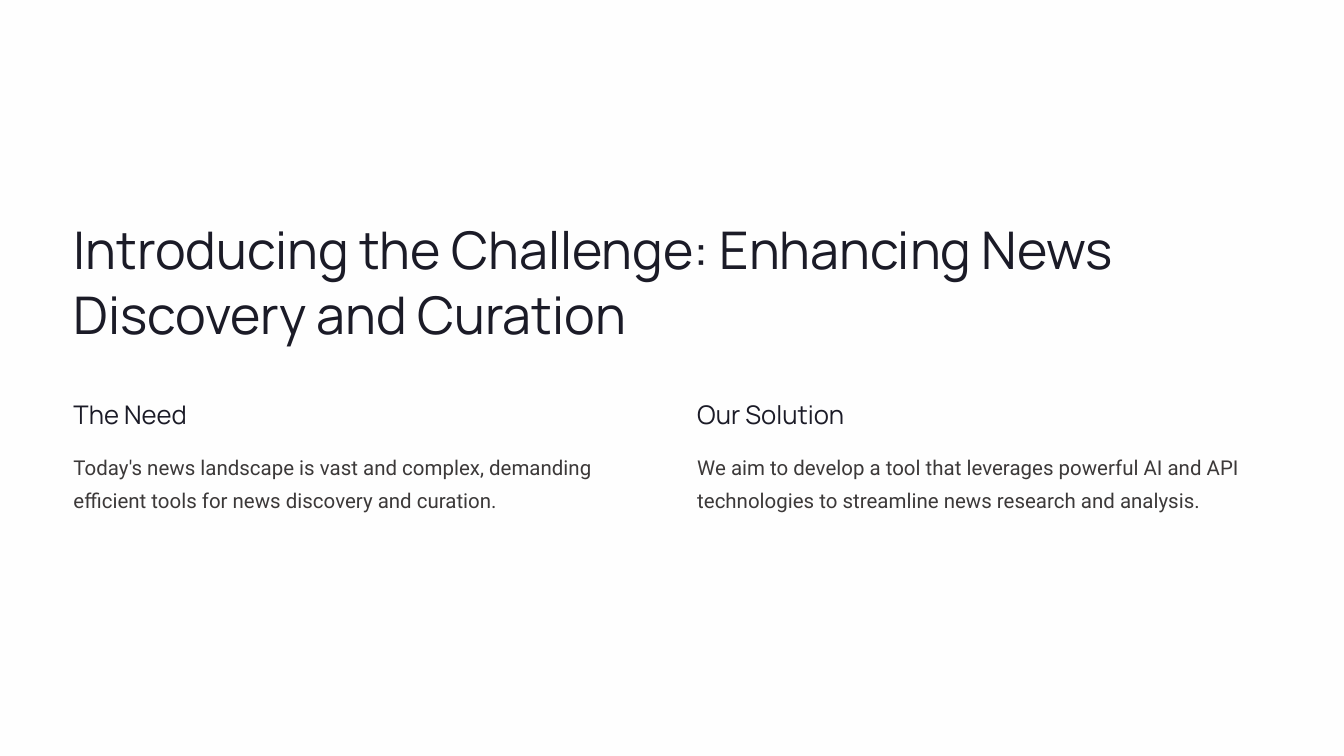
from lxml import etree
from pptx import Presentation
from pptx import util as u
from pptx.dml.color import RGBColor
from pptx.enum import shapes, text
from pptx.oxml.ns import qn

PX = 9525  # EMU per px, 96 px to the inch
W, H = 1920, 1080

LAVENDER = RGBColor(0xEC, 0xEC, 0xF3)
WHITE = RGBColor(0xFF, 0xFF, 0xFF)
INK = RGBColor(0x1B, 0x1B, 0x27)
GREY = RGBColor(0x3C, 0x39, 0x39)

# Content
TITLE = "Introducing the Challenge: Enhancing News Discovery and Curation"
COLUMNS = [
    ("The Need",
     "Today's news landscape is vast and complex, demanding efficient "
     "tools for news discovery and curation."),
    ("Our Solution",
     "We aim to develop a tool that leverages powerful AI and API "
     "technologies to streamline news research and analysis."),
]
BACKDROP = [(LAVENDER, 100), (WHITE, 95)]  # colour, opacity in percent

# Text styles: font, size, line spacing, colour
TITLE_STYLE = ("Manrope", 55.6, 69.4, INK)
HEADING_STYLE = ("Manrope", 27.5, 34.4, INK)
BODY_STYLE = ("Roboto", 21.9, 35.6, GREY)

# Layout
MARGIN, GAP = 105, 72
CONTENT_W = W - 2 * MARGIN
COLUMN_W = (CONTENT_W - GAP) // len(COLUMNS)
TITLE_Y, TITLE_H = 307, 189
HEADING_Y, HEADING_W, HEADING_H = 568, 372, 50
BODY_Y, BODY_H = 637, 106


def add_backdrop(s, colour, opacity):
    sp = s.shapes.add_shape(shapes.MSO_SHAPE.RECTANGLE, 0, 0, W * PX, H * PX)
    sp.shadow.inherit = False
    sp.line.fill.background()
    sp.fill.solid()
    sp.fill.fore_color.rgb = colour
    if opacity < 100:
        clr = sp.fill._xPr.find(".//" + qn("a:srgbClr"))
        etree.SubElement(clr, qn("a:alpha"), val=str(opacity * 1000))


def add_text(s, x, y, w, h, words, style):
    font, size, spacing, colour = style
    tf = s.shapes.add_textbox(x * PX, y * PX, w * PX, h * PX).text_frame
    tf.word_wrap = True
    tf.auto_size = text.MSO_AUTO_SIZE.SHAPE_TO_FIT_TEXT
    tf.margin_left = tf.margin_top = tf.margin_right = tf.margin_bottom = 0
    p = tf.paragraphs[0]
    p.line_spacing = u.Pt(spacing)
    r = p.add_run()
    r.text = words
    r.font.name = font
    r.font.size = u.Pt(size)
    r.font.color.rgb = colour


def main():
    prs = Presentation()
    prs.slide_width, prs.slide_height = W * PX, H * PX
    s = prs.slides.add_slide(prs.slide_layouts[6])

    # Full-slide backdrop with a translucent veil
    for colour, opacity in BACKDROP:
        add_backdrop(s, colour, opacity)

    # Title
    add_text(s, MARGIN, TITLE_Y, CONTENT_W, TITLE_H, TITLE, TITLE_STYLE)

    # Two columns, each with a heading and a body
    for i, (heading, body) in enumerate(COLUMNS):
        x = MARGIN + i * (COLUMN_W + GAP)
        add_text(s, x, HEADING_Y, HEADING_W, HEADING_H, heading, HEADING_STYLE)
        add_text(s, x, BODY_Y, COLUMN_W, BODY_H, body, BODY_STYLE)

    prs.save("out.pptx")


if __name__ == "__main__":
    main()
